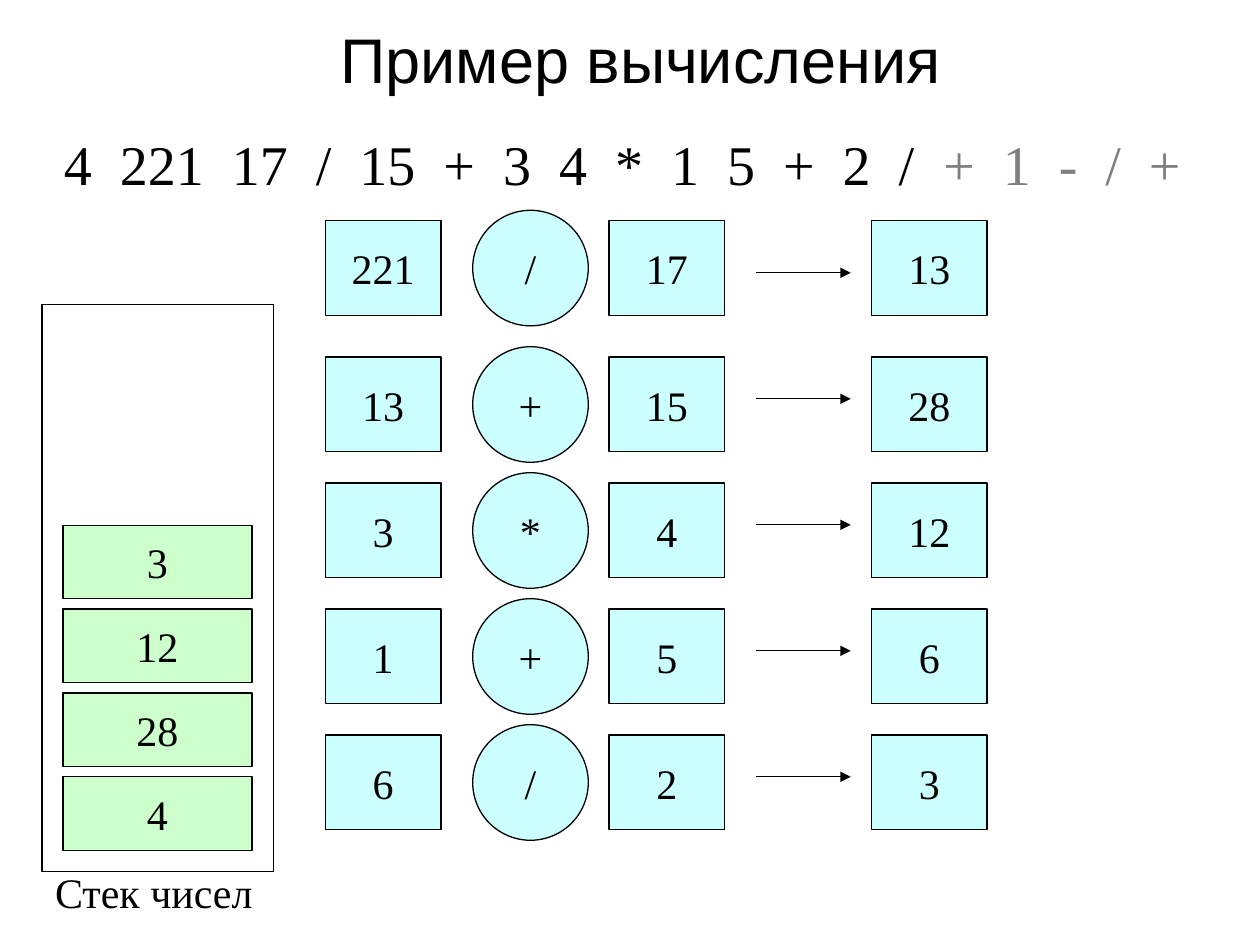
from pptx import Presentation
from pptx.dml.color import RGBColor
from pptx.enum.shapes import MSO_CONNECTOR as Link, MSO_SHAPE as Kind
from pptx.enum.text import MSO_ANCHOR as Anchor, MSO_AUTO_SIZE as Fit, PP_ALIGN as Align
from pptx.oxml.ns import qn
from pptx.util import Cm, Pt
from lxml.etree import SubElement

BLACK = RGBColor(0x00, 0x00, 0x00)
GRAY = RGBColor(0x80, 0x80, 0x80)
GREEN = RGBColor(0xCC, 0xFF, 0xCC)
CYAN = RGBColor(0xCC, 0xFF, 0xFF)

SERIF = "Times New Roman"
PLAIN = {"name": SERIF, "size": Pt(24)}
LARGE = {"name": SERIF, "size": Pt(32)}
HEAD = {"name": "Arial", "size": Pt(36)}
CENTER = {"word_wrap": False, "vertical_anchor": Anchor.MIDDLE}
LABEL = {"word_wrap": False, "auto_size": Fit.SHAPE_TO_FIT_TEXT}

# Top of the boxes, left operand, operator, right operand, result
STEPS = [
    (4.45, "221", "/", "17", "13"),
    (7.2, "13", "+", "15", "28"),
    (9.74, "3", "*", "4", "12"),
    (12.28, "1", "+", "5", "6"),
    (14.82, "6", "/", "2", "3"),
]
STACK = ["4", "28", "12", "3"]


def apply(item, values):
    for key, value in values.items():
        setattr(item, key, value)


def write(para, text, font, color=BLACK):
    run = para.add_run()
    run.text = text
    apply(run.font, font)
    run.font.color.rgb = color


def add_title(slide, text):
    title = slide.shapes.title
    apply(title, {"left": Cm(0.85), "top": Cm(-0.42),
                  "width": Cm(24.13), "height": Cm(3.18)})
    title.text_frame.vertical_anchor = Anchor.MIDDLE
    para = title.text_frame.paragraphs[0]
    para.alignment = Align.CENTER
    write(para, text, HEAD)


def add_label(slide, area, parts, font):
    """Add one line of text made of (text, color) parts."""
    frame = slide.shapes.add_textbox(*map(Cm, area)).text_frame
    apply(frame, LABEL)
    for text, color in parts:
        write(frame.paragraphs[0], text, font, color)


def add_block(slide, kind, area, fill=None, text=None):
    block = slide.shapes.add_shape(kind, *map(Cm, area))
    block.shadow.inherit = False
    block.line.color.rgb = BLACK
    block.line.width = Pt(0.75)
    if fill is None:
        block.fill.background()
    else:
        block.fill.solid()
        block.fill.fore_color.rgb = fill
    if text:
        apply(block.text_frame, CENTER)
        para = block.text_frame.paragraphs[0]
        para.alignment = Align.CENTER
        write(para, text, PLAIN)


def add_arrow(slide, left, right, y):
    arrow = slide.shapes.add_connector(
        Link.STRAIGHT, Cm(left), Cm(y), Cm(right), Cm(y))
    arrow.line.color.rgb = BLACK
    arrow.line.width = Pt(0.75)
    SubElement(arrow.line._get_or_add_ln(), qn("a:tailEnd"), type="triangle")
    SubElement(arrow._element.spPr, qn("a:effectLst"))


def add_step(slide, top, first, sign, second, result):
    for left, text in ((6.56, first), (12.28, second), (17.57, result)):
        add_block(slide, Kind.RECTANGLE, (left, top, 2.33, 1.91), CYAN, text)
    add_block(slide, Kind.OVAL, (9.53, top - 0.21, 2.33, 2.33), CYAN, sign)


def add_stack(slide):
    add_block(slide, Kind.RECTANGLE, (0.85, 6.14, 4.66, 11.43))
    for level, text in enumerate(STACK):
        area = (1.27, 15.66 - 1.69 * level, 3.81, 1.48)
        add_block(slide, Kind.RECTANGLE, area, GREEN, text)
    add_label(slide, (0.86, 17.35, 4.5, 1.27), [("Стек чисел", BLACK)], PLAIN)


def main():
    deck = Presentation()
    apply(deck, {"slide_width": Cm(25.4), "slide_height": Cm(19.05)})
    slide = deck.slides.add_slide(deck.slide_layouts[5])
    add_title(slide, "Пример вычисления")
    add_label(slide, (1.04, 2.49, 23.3, 1.63),
              [("4  221  17  /  15  +  3  4  *  1  5  +  2  /", BLACK),
               ("  +  1  -  /  +", GRAY)], LARGE)
    add_stack(slide)
    for row, step in enumerate(STEPS):
        add_step(slide, *step)
        add_arrow(slide, 15.24, 17.15, 5.5 + 2.54 * row)
    deck.save("out.pptx")


if __name__ == "__main__":
    main()
